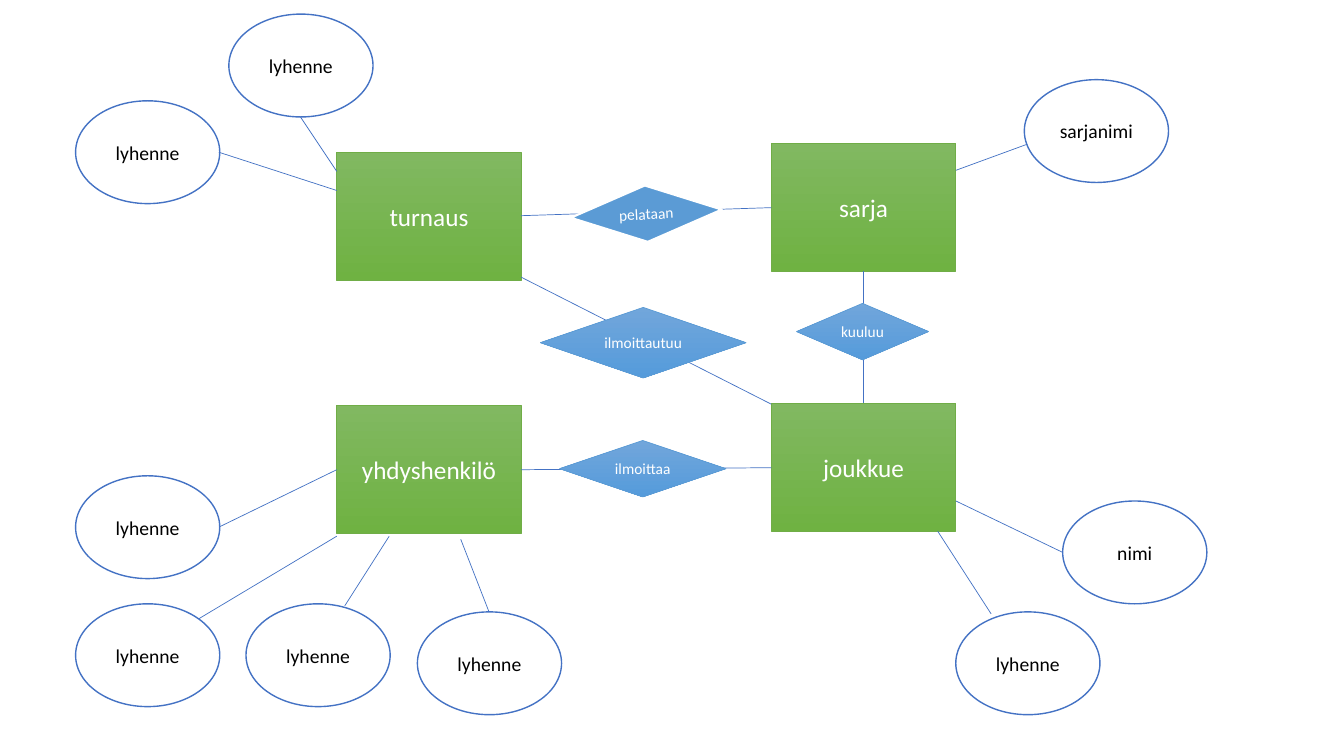
from dataclasses import dataclass

from lxml import etree
from pptx import Presentation
from pptx import util as u
from pptx.dml.color import RGBColor
from pptx.enum import shapes, text
from pptx.oxml import ns


@dataclass(frozen=True)
class Theme:
    font: str = "Calibri"
    white: str = "FFFFFF"
    black: str = "000000"
    blue: str = "4472C4"
    entity_line: str = "70AD47"
    entity_fill: tuple = ("81B861", "6FB242")
    relation_line: str = "5B9BD5"
    relation_fill: tuple = ("71A6DB", "559BDB")
    entity_size: int = 18
    attribute_size: int = 14
    relation_size: int = 11
    thin: float = 0.5


class Diagram:
    ENTITY = (1.83, 1.27)
    ATTRIBUTE = (1.43, 1.02)

    def __init__(self, slide, theme):
        self.slide = slide
        self.theme = theme

    def _shape(self, preset, label, box, fill, line, width, size, color):
        shape = self.slide.shapes.add_shape(preset, *map(u.Inches, box))
        shape.shadow.inherit = False
        if isinstance(fill, tuple):
            shape.fill.gradient()
            shape.fill.gradient_angle = 270  # first colour at the top
            for stop, shade in zip(shape.fill.gradient_stops, fill):
                stop.color.rgb = RGBColor.from_string(shade)
        else:
            shape.fill.solid()
            shape.fill.fore_color.rgb = RGBColor.from_string(fill)
        shape.line.color.rgb = RGBColor.from_string(line)
        shape.line.width = u.Pt(width)

        frame = shape.text_frame
        frame.word_wrap = False
        frame.vertical_anchor = text.MSO_ANCHOR.MIDDLE
        frame.margin_left = frame.margin_right = 0
        frame.margin_top = frame.margin_bottom = 0
        paragraph = frame.paragraphs[0]
        paragraph.alignment = text.PP_ALIGN.CENTER
        run = paragraph.add_run()
        run.text = label
        run.font.name = self.theme.font
        run.font.size = u.Pt(size)
        run.font.color.rgb = RGBColor.from_string(color)
        return shape

    def entity(self, label, left, top):
        t = self.theme
        self._shape(shapes.MSO_SHAPE.RECTANGLE, label, (left, top, *self.ENTITY),
                    t.entity_fill, t.entity_line, t.thin, t.entity_size, t.white)

    def attribute(self, label, left, top):
        t = self.theme
        self._shape(shapes.MSO_SHAPE.OVAL, label, (left, top, *self.ATTRIBUTE),
                    t.white, t.blue, 1, t.attribute_size, t.black)

    def relation(self, label, box, flat=False, rotation=0):
        t = self.theme
        fill, line, width = ((t.relation_line, t.white, 1.5) if flat
                             else (t.relation_fill, t.relation_line, t.thin))
        diamond = self._shape(shapes.MSO_SHAPE.DIAMOND, label, box, fill, line,
                              width, t.relation_size, t.white)
        diamond.rotation = rotation

    def link(self, *ends):
        line = self.slide.shapes.add_connector(
            shapes.MSO_CONNECTOR.STRAIGHT, *map(u.Inches, ends))
        line.line.color.rgb = RGBColor.from_string(self.theme.blue)
        line.line.width = u.Pt(self.theme.thin)
        etree.SubElement(line._element.spPr, ns.qn("a:effectLst"))


def main():
    deck = Presentation()
    deck.slide_width, deck.slide_height = u.Inches(13.33), u.Inches(7.5)
    diagram = Diagram(deck.slides.add_slide(deck.slide_layouts[6]), Theme())

    # Entities
    for entity in (("sarja", 7.65, 1.42), ("joukkue", 7.65, 4),
                   ("yhdyshenkilö", 3.34, 4.02), ("turnaus", 3.34, 1.51)):
        diagram.entity(*entity)

    # Attributes of each entity
    diagram.attribute("sarjanimi", 10.16, 0.79)
    diagram.attribute("nimi", 10.54, 4.97)
    for left, top in ((9.48, 6.07), (2.44, 5.99), (0.75, 5.99), (4.14, 6.07),
                      (0.75, 4.72), (0.75, 1), (2.27, 0.14)):
        diagram.attribute("lyhenne", left, top)

    # Links from attributes to entities
    attribute_links = (
        (2.17, 1.51, 3.34, 1.89), (2.98, 1.16, 3.34, 1.7),
        (9.48, 1.69, 10.19, 1.43), (9.48, 4.97, 10.54, 5.48),
        (9.3, 5.27, 9.83, 6.09), (4.85, 6.07, 4.57, 5.35),
        (3.42, 6.01, 3.86, 5.32), (1.97, 6.14, 3.34, 5.32),
        (2.17, 5.23, 3.34, 4.66),
    )
    # Links between entities, running behind the diamonds
    entity_links = (
        (5.17, 2.14, 7.65, 2.06), (5.17, 4.66, 7.65, 4.64),
        (8.56, 4, 8.56, 2.69), (5.17, 2.75, 7.65, 4.01),
    )
    for ends in attribute_links + entity_links:
        diagram.link(*ends)

    # Relations
    diagram.relation("kuuluu", (7.9, 3.01, 1.31, 0.56))
    diagram.relation("pelataan", (5.66, 1.84, 1.5, 0.56), flat=True, rotation=356.9)
    diagram.relation("ilmoittaa", (5.55, 4.37, 1.65, 0.56))
    diagram.relation("ilmoittautuu", (5.36, 3.05, 2.04, 0.7))

    deck.save("out.pptx")


if __name__ == "__main__":
    main()
